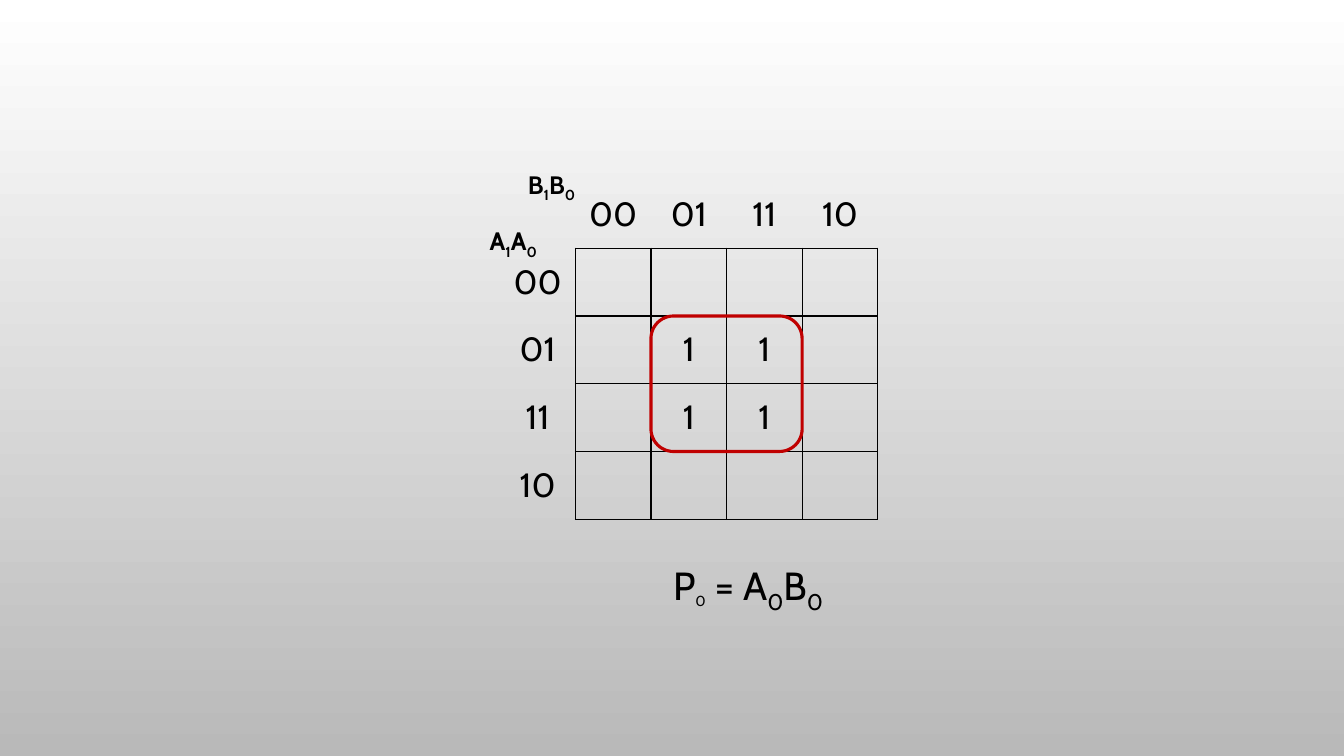
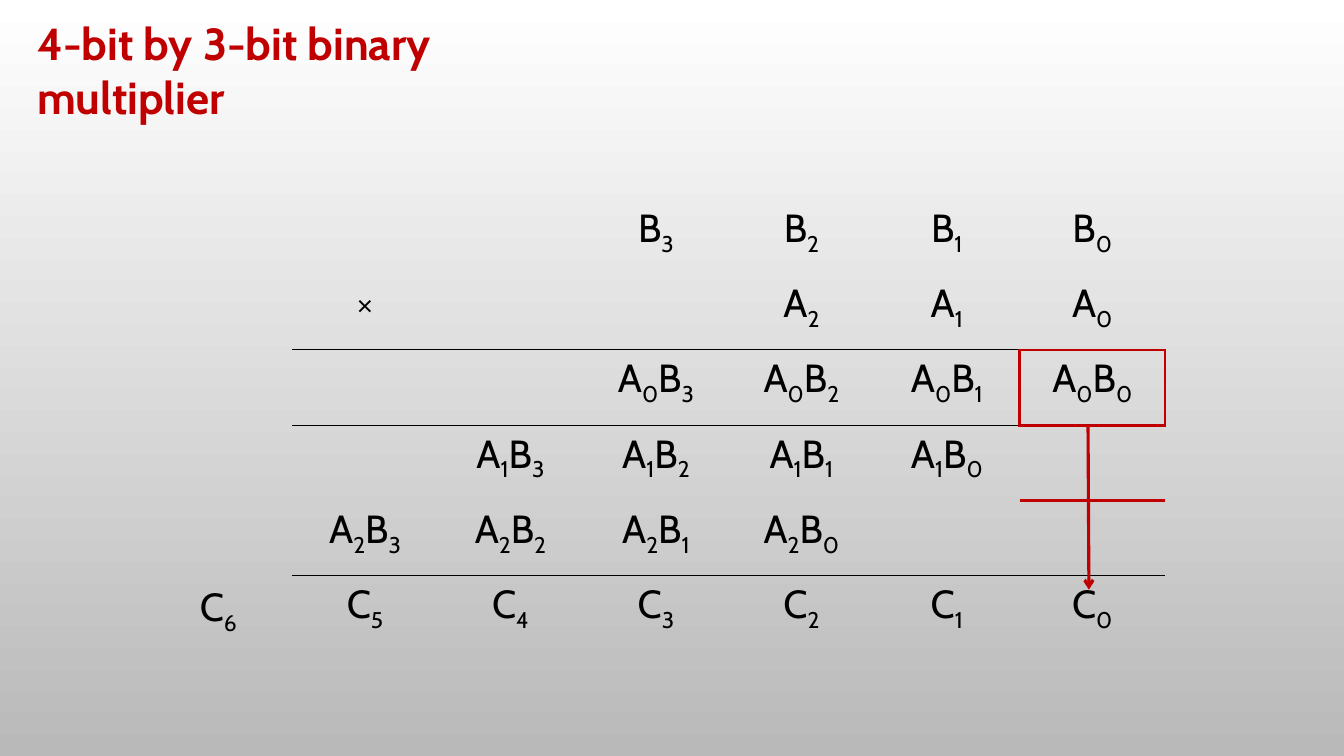
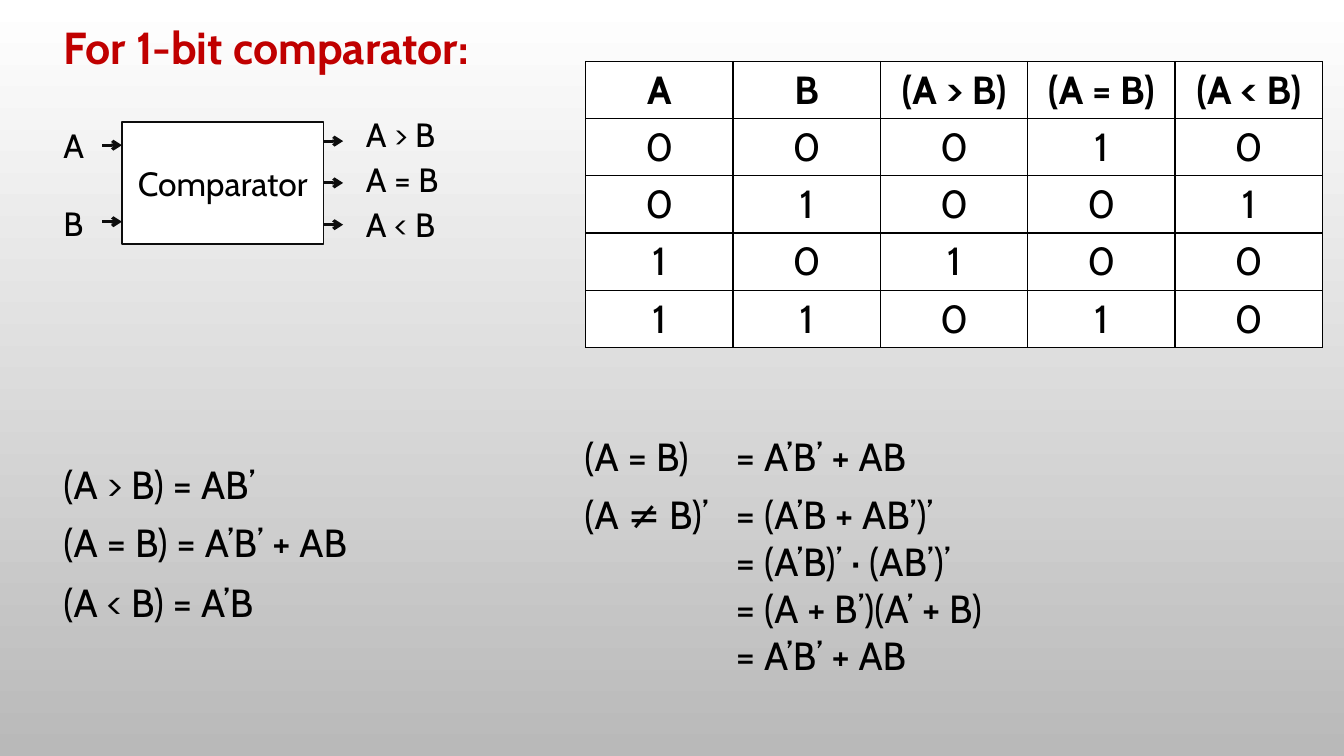
from dataclasses import dataclass
from itertools import groupby

from lxml import etree
from pptx import Presentation
from pptx.dml.color import RGBColor
from pptx.enum.shapes import MSO_CONNECTOR, MSO_SHAPE
from pptx.enum.text import MSO_ANCHOR, MSO_AUTO_SIZE, PP_ALIGN
from pptx.oxml.ns import qn
from pptx.util import Pt

STRAIGHT = MSO_CONNECTOR.STRAIGHT
RECTANGLE, ROUNDED = MSO_SHAPE.RECTANGLE, MSO_SHAPE.ROUNDED_RECTANGLE
TOP, MIDDLE = MSO_ANCHOR.TOP, MSO_ANCHOR.MIDDLE
LEFT, CENTER = PP_ALIGN.LEFT, PP_ALIGN.CENTER
GROW = MSO_AUTO_SIZE.SHAPE_TO_FIT_TEXT
TITLE_ONLY, BLANK = 5, 6
RIGHT_SIDE = 3
PLAIN_TABLE = "{2D5ABB26-0587-4C30-8999-92F81FD0307C}"


@dataclass(frozen=True)
class Theme:
    font: str = "Cabin"
    ink: str = "000000"
    outline: str = "0D0D0D"
    accent: str = "C00000"
    paper: str = "FFFFFF"
    shade: str = "B9B9B9"
    title: float = 32
    body: float = 28
    label: float = 24
    small: float = 18
    hairline: float = 1
    box_line: float = 1.25
    strong_line: float = 2.25


THEME = Theme()


def rgb(value):
    return RGBColor.from_string(value)


def style_paragraph(paragraph, size, color=THEME.ink, bold=False, align=LEFT):
    paragraph.alignment = align
    for run in paragraph.runs:
        run.font.name = THEME.font
        run.font.size = Pt(size)
        run.font.bold = bold
        run.font.color.rgb = rgb(color)


def write_formula(paragraph, formula):
    """Write the formula with every number lowered as an index."""
    for is_index, characters in groupby(formula, str.isdigit):
        run = paragraph.add_run()
        run.text = "".join(characters)
        if is_index:
            run._r.get_or_add_rPr().set("baseline", "-25000")


def add_label(shapes, box, text="", size=THEME.body, bold=False, align=LEFT, formula=""):
    """Add a text box; a formula gets lowered numbers, plain text does not."""
    frame = shapes.add_textbox(*map(Pt, box)).text_frame
    frame.word_wrap = True
    frame.auto_size = GROW
    if formula:
        write_formula(frame.paragraphs[0], formula)
    else:
        frame.text = text
    for paragraph in frame.paragraphs:
        style_paragraph(paragraph, size, bold=bold, align=align)
    return frame


def add_title(slide, text, box):
    title = slide.shapes.title
    title.left, title.top, title.width, title.height = map(Pt, box)
    frame = title.text_frame
    frame.text = text
    frame.word_wrap = True
    frame.auto_size = GROW
    frame.vertical_anchor = TOP
    style_paragraph(frame.paragraphs[0], THEME.title, THEME.accent, bold=True)


def add_arrow(shapes, start, end, color):
    arrow = shapes.add_connector(STRAIGHT, *map(Pt, (*start, *end)))
    arrow.line.color.rgb = rgb(color)
    arrow.line.width = Pt(THEME.strong_line)
    etree.SubElement(arrow.line._get_or_add_ln(), qn("a:tailEnd"), type="arrow")
    etree.SubElement(arrow._element.spPr, qn("a:effectLst"))
    return arrow


def add_grid(slide, left, top, columns, rows, column_width, row_height):
    """Add an unstyled table of equal cells."""
    frame = slide.shapes.add_table(
        rows, columns, Pt(left), Pt(top), Pt(columns * column_width), Pt(rows * row_height))
    table = frame.table
    table.first_row = table.horz_banding = False
    table._tbl.tblPr.find(qn("a:tableStyleId")).text = PLAIN_TABLE
    for column in table.columns:
        column.width = Pt(column_width)
    for row in table.rows:
        row.height = Pt(row_height)
    return table


def set_borders(cell, borders):
    """Draw the sides given as {side letter: (colour, width)}."""
    properties = cell._tc.get_or_add_tcPr()
    for side in "LRTB":
        if side in borders:
            color, width = borders[side]
            line = etree.SubElement(properties, qn(f"a:ln{side}"), w=str(Pt(width)))
            fill = etree.SubElement(line, qn("a:solidFill"))
            etree.SubElement(fill, qn("a:srgbClr"), val=color)


def black_sides(sides):
    return {side: (THEME.ink, THEME.hairline) for side in sides}


def karnaugh_map(slide, left, top):
    column_width, row_height = 54, 48.4
    codes = ["00", "01", "11", "10"]
    ones = (2, 3)
    table = add_grid(slide, left, top, 5, 5, column_width, row_height)
    for r in range(5):
        for c in range(5):
            cell = table.cell(r, c)
            cell.margin_left = cell.margin_right = Pt(8.64)
            cell.margin_top = cell.margin_bottom = Pt(4.32)
            cell.vertical_anchor = MIDDLE
            if r == 0:
                text, sides = (codes[c - 1], "B") if c else ("", "")
            elif c == 0:
                text, sides = codes[r - 1], "R"
            else:
                text, sides = "1" if r in ones and c in ones else "", "LRTB"
            set_borders(cell, black_sides(sides))
            cell.fill.background()
            cell.text_frame.text = text
            style_paragraph(cell.text_frame.paragraphs[0], THEME.label, align=CENTER)

    add_label(slide.shapes, (left - 14.3, top + 28.8, 55.4, 28.8), size=THEME.small,
              bold=True, formula="A1A0")
    add_label(slide.shapes, (left + 13, top - 11.5, 57.6, 28.8), size=THEME.small,
              bold=True, formula="B1B0")
    result = add_label(slide.shapes, (left + 116.7, top + 268.5, 140, 41), formula="P0 = A0B0")
    result.paragraphs[0].runs[1].font.size = Pt(THEME.small)

    loop = slide.shapes.add_shape(
        ROUNDED, Pt(left + 2 * column_width), Pt(top + 2 * row_height),
        Pt(2 * column_width), Pt(2 * row_height))
    loop.shadow.inherit = False
    loop.fill.background()
    loop.line.color.rgb = rgb(THEME.accent)
    loop.line.width = Pt(THEME.strong_line)


def partial_products():
    """Return the rows of the long multiplication, keyed by (row, column)."""
    cells = {(2, 0): "×"}
    for bit in range(4):
        cells[1, 5 - bit] = f"B{bit}"
    for a in range(3):
        cells[2, 5 - a] = f"A{a}"
        for b in range(4):
            cells[3 + a, 5 - a - b] = f"A{a}B{b}"
    for bit in range(6):
        cells[6, 5 - bit] = f"C{bit}"
    return cells


def long_multiplication(slide, left, top):
    column_width, row_height = 103.9, 53.8
    rule_sides = {2: "B", 3: "T", 5: "B", 6: "T"}
    red = (THEME.accent, THEME.strong_line)
    red_sides = {(2, 5): "B", (3, 4): "R", (3, 5): "LRTB", (4, 5): "T"}
    products = partial_products()
    table = add_grid(slide, left, top, 6, 7, column_width, row_height)
    for r in range(7):
        for c in range(6):
            cell = table.cell(r, c)
            borders = black_sides(rule_sides.get(r, ""))
            borders.update({side: red for side in red_sides.get((r, c), "")})
            set_borders(cell, borders)
            cell.fill.background()
            paragraph = cell.text_frame.paragraphs[0]
            write_formula(paragraph, products.get((r, c), ""))
            style_paragraph(paragraph, THEME.body, align=CENTER)

    arrow_x = left + 568.4
    add_arrow(slide.shapes, (arrow_x, top + 4 * row_height + 0.8),
              (arrow_x + 0.6, top + 332.6), THEME.accent)
    add_label(slide.shapes, (left - 77.8, top + 324, 50, 41), align=CENTER, formula="C6")


def truth_table(slide, left, top):
    rows = [["A", "B", "(A > B)", "(A = B)", "(A < B)"],
            "00010", "01001", "10100", "11010"]
    table = add_grid(slide, left, top, 5, len(rows), 105.26, 40.8)
    for r, row in enumerate(rows):
        for c, text in enumerate(row):
            cell = table.cell(r, c)
            set_borders(cell, black_sides("LRTB"))
            cell.fill.solid()
            cell.fill.fore_color.rgb = rgb(THEME.paper)
            cell.text_frame.text = text
            style_paragraph(cell.text_frame.paragraphs[0], THEME.body, bold=r == 0, align=CENTER)


def comparator_diagram(slide, left, top, width, height):
    """Draw the block in the given box, with its inputs and outputs beside it."""
    shapes = slide.shapes.add_group_shape().shapes
    block = shapes.add_shape(RECTANGLE, *map(Pt, (left, top, width, height)))
    block.shadow.inherit = False
    block.fill.solid()
    block.fill.fore_color.rgb = rgb(THEME.paper)
    block.line.color.rgb = rgb(THEME.outline)
    block.line.width = Pt(THEME.box_line)
    block.text_frame.text = "Comparator"
    block.text_frame.vertical_anchor = MIDDLE
    style_paragraph(block.text_frame.paragraphs[0], THEME.label, align=CENTER)

    arrow_length, right = 14, left + width
    for i, (name, offset) in enumerate([("A", 16.6), ("B", 71.3)]):
        y = top + offset
        add_arrow(shapes, (left - arrow_length, y), (left, y), THEME.outline)
        add_label(shapes, (left - 48.9, top - 1.4 + 56 * i, 30, 36), name, THEME.label)
    outputs = [("A > B", 13.7), ("A = B", height / 2), ("A < B", 73.4)]
    for i, (name, offset) in enumerate(outputs):
        y = top + offset
        arrow = add_arrow(shapes, (right, y), (right + arrow_length, y), THEME.outline)
        if offset == height / 2:
            arrow.begin_connect(block, RIGHT_SIDE)
        add_label(shapes, (right + 23.1, top - 9.3 + 32 * i, 103, 36), name, THEME.label)


def output_equations(slide, left, top):
    equations = [("(A > B) = AB’", 0), ("(A = B) = A’B’ + AB", 41.1), ("(A < B) = A’B", 84.3)]
    for equation, offset in equations:
        add_label(slide.shapes, (left, top + offset, 411, 41), equation)


def equality_proof(slide, left, top):
    """Set the steps with all equals signs on one tab stop."""
    equals_at = str(Pt(108))
    equality = add_label(slide.shapes, (left, top, 322, 41), "(A = B)\t= A’B’ + AB")
    steps = add_label(
        slide.shapes, (left, top + 41, 322, 143.3),
        "(A ≠ B)’\t= (A’B + AB’)’\n= (A’B)’ · (AB’)’\n= (A + B’)(A’ + B)\n= A’B’ + AB")
    for paragraph in (*equality.paragraphs, *steps.paragraphs):
        properties = paragraph._p.get_or_add_pPr()
        if "\t" in paragraph.text:
            tabs = etree.SubElement(properties, qn("a:tabLst"))
            etree.SubElement(tabs, qn("a:tab"), pos=equals_at, algn="l")
        else:
            properties.set("marL", equals_at)
            properties.set("indent", "0")


def set_background(master):
    fill = master.background.fill
    fill.gradient()
    fill.gradient_angle = 270
    for stop, position, color in zip(fill.gradient_stops, (0, 1), (THEME.paper, THEME.shade)):
        stop.position = position
        stop.color.rgb = rgb(color)


def main():
    deck = Presentation()
    deck.slide_width, deck.slide_height = Pt(960), Pt(540)
    set_background(deck.slide_master)
    layouts = deck.slide_layouts

    map_slide = deck.slides.add_slide(layouts[BLANK])
    karnaugh_map(map_slide, 357, 128.9)

    multiplier = deck.slides.add_slide(layouts[TITLE_ONLY])
    add_title(multiplier, "4-bit by 3-bit binary multiplier", (19.4, 7.9, 421, 46))
    long_multiplication(multiplier, 208.8, 88.6)

    comparator = deck.slides.add_slide(layouts[TITLE_ONLY])
    add_title(comparator, "For 1-bit comparator:", (38.2, 10.8, 810, 46))
    truth_table(comparator, 418.3, 43.9)
    comparator_diagram(comparator, 87.1, 87.1, 144, 87.1)
    output_equations(comparator, 38.2, 325.4)
    equality_proof(comparator, 410.4, 305.3)

    deck.save("out.pptx")


if __name__ == "__main__":
    main()
